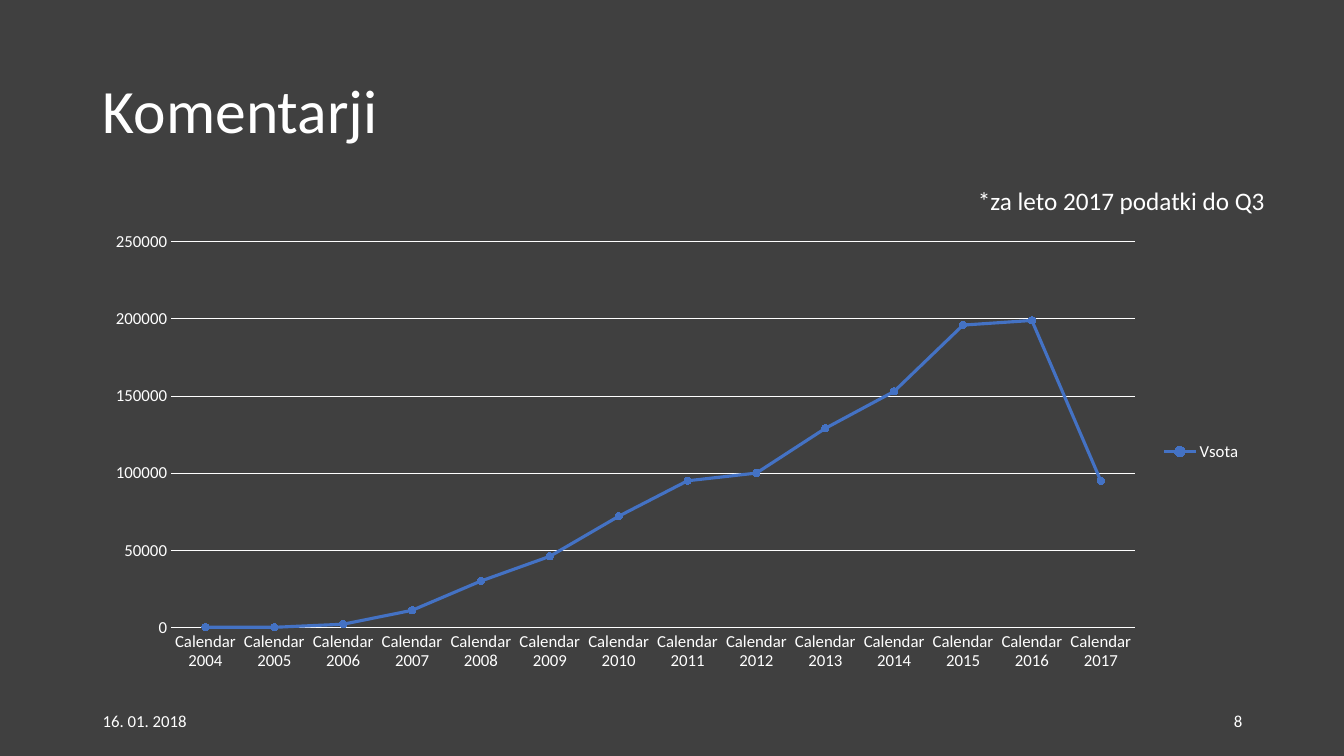
from pptx import Presentation
from pptx.chart.data import CategoryChartData
from pptx.dml.color import RGBColor
from pptx.enum.chart import XL_CHART_TYPE as Chart, XL_LEGEND_POSITION as Legend
from pptx.enum.chart import XL_MARKER_STYLE as Marker, XL_TICK_MARK as Tick
from pptx.enum.text import MSO_ANCHOR as Anchor, PP_ALIGN as Align
from pptx.util import Inches, Pt

WHITE, BLUE, GREY = "FFFFFF", "4472C4", "404040"
LEFT, WIDTH = 0.92, 11.5
FOOT_TOP, FOOT_WIDTH = 6.95, 3


def paint(colour_format, colour):
    colour_format.rgb = RGBColor.from_string(colour)


def style(font, size):
    font.name, font.size = "Calibri", Pt(size)
    paint(font.color, WHITE)


deck = Presentation()
deck.slide_width, deck.slide_height = Inches(13.33), Inches(7.5)
slide = deck.slides.add_slide(deck.slide_layouts[5])
slide.background.fill.solid()
paint(slide.background.fill.fore_color, GREY)

# Title
title = slide.shapes.title
title.left, title.top, title.width, title.height = map(Inches, (LEFT, 0.4, WIDTH, 1.45))
title.text_frame.text = "Komentarji"
title.text_frame.vertical_anchor = Anchor.MIDDLE
heading = title.text_frame.paragraphs[0]
heading.alignment, heading.line_spacing = Align.LEFT, 0.9
style(heading.font, 44)

# Comments per year
comments = CategoryChartData()
comments.categories = [f"Calendar {year}" for year in range(2004, 2018)]
comments.add_series("Vsota", [0, 0, 2000, 11000, 30000, 46000, 72000, 95000,
                              100000, 129000, 153000, 196000, 199000, 95000])
chart = slide.shapes.add_chart(Chart.LINE_MARKERS, *map(Inches, (LEFT, 2.21, WIDTH, 4.54)),
                               comments).chart
chart.has_title = False
style(chart.font, 10)
chart.has_legend = True
chart.legend.position = Legend.RIGHT
chart.legend.include_in_layout = False
style(chart.legend.font, 12)

# Line and markers
chart.plots[0].vary_by_categories = False
total = chart.plots[0].series[0]
total.smooth = False
total.format.line.width = Pt(2.25)
paint(total.format.line.color, BLUE)
total.marker.style, total.marker.size = Marker.CIRCLE, 5
total.marker.format.fill.solid()
paint(total.marker.format.fill.fore_color, BLUE)
paint(total.marker.format.line.color, BLUE)

# Axes and gridlines
years, counts = chart.category_axis, chart.value_axis
for axis in (years, counts):
    axis.major_tick_mark = axis.minor_tick_mark = Tick.NONE
    style(axis.tick_labels.font, 12)
counts.minimum_scale, counts.maximum_scale, counts.major_unit = 0, 250000, 50000
counts.format.line.fill.background()
for rule in (years.format.line, counts.major_gridlines.format.line):
    rule.width = Pt(0.75)
    paint(rule.color, WHITE)

# Note, date and page number
for text, left, top, width, size, align, anchor, wrap in (
    ("*za leto 2017 podatki do Q3", 9.6, 1.79, 3.08, 18, Align.LEFT, Anchor.TOP, False),
    ("16. 01. 2018", LEFT, FOOT_TOP, FOOT_WIDTH, 12, Align.LEFT, Anchor.MIDDLE, True),
    ("8", LEFT + WIDTH - FOOT_WIDTH, FOOT_TOP, FOOT_WIDTH, 12, Align.RIGHT, Anchor.MIDDLE, True),
):
    frame = slide.shapes.add_textbox(*map(Inches, (left, top, width, 0.4))).text_frame
    frame.text, frame.word_wrap, frame.vertical_anchor = text, wrap, anchor
    frame.paragraphs[0].alignment = align
    style(frame.paragraphs[0].font, size)

deck.save("out.pptx")
